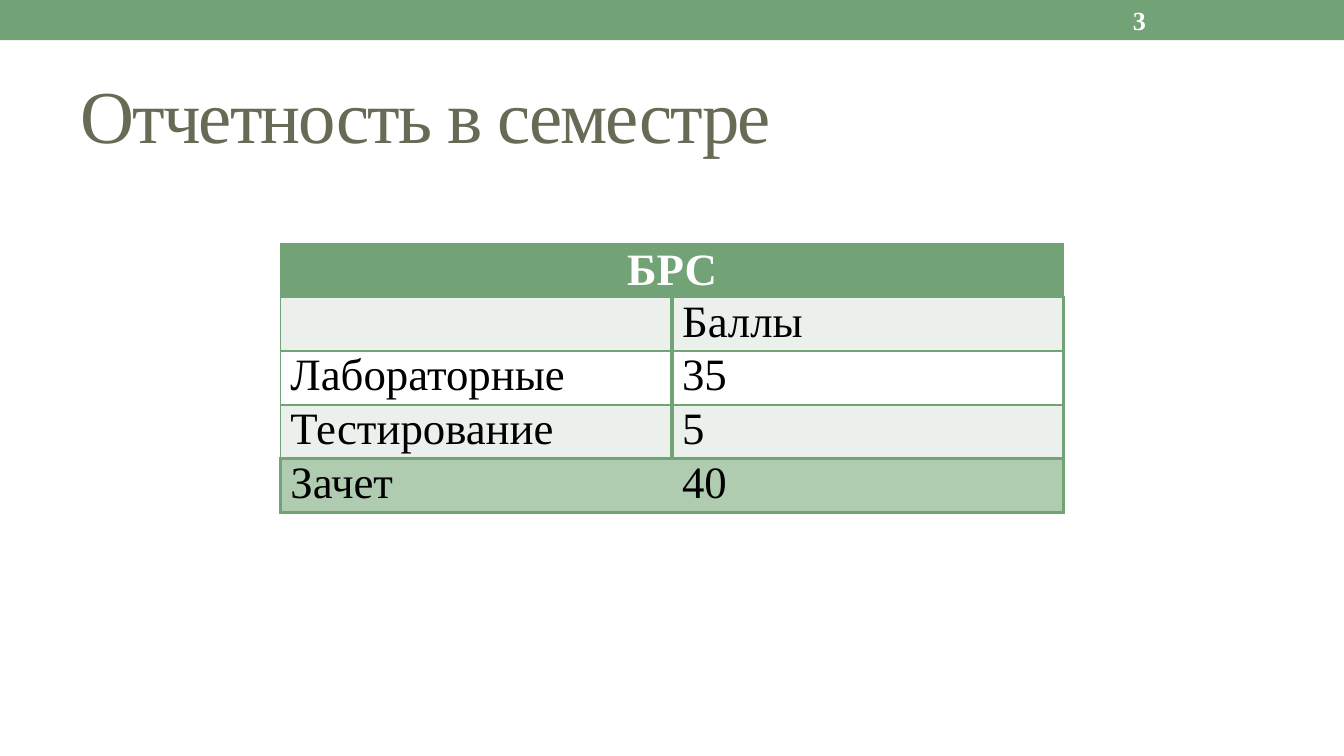
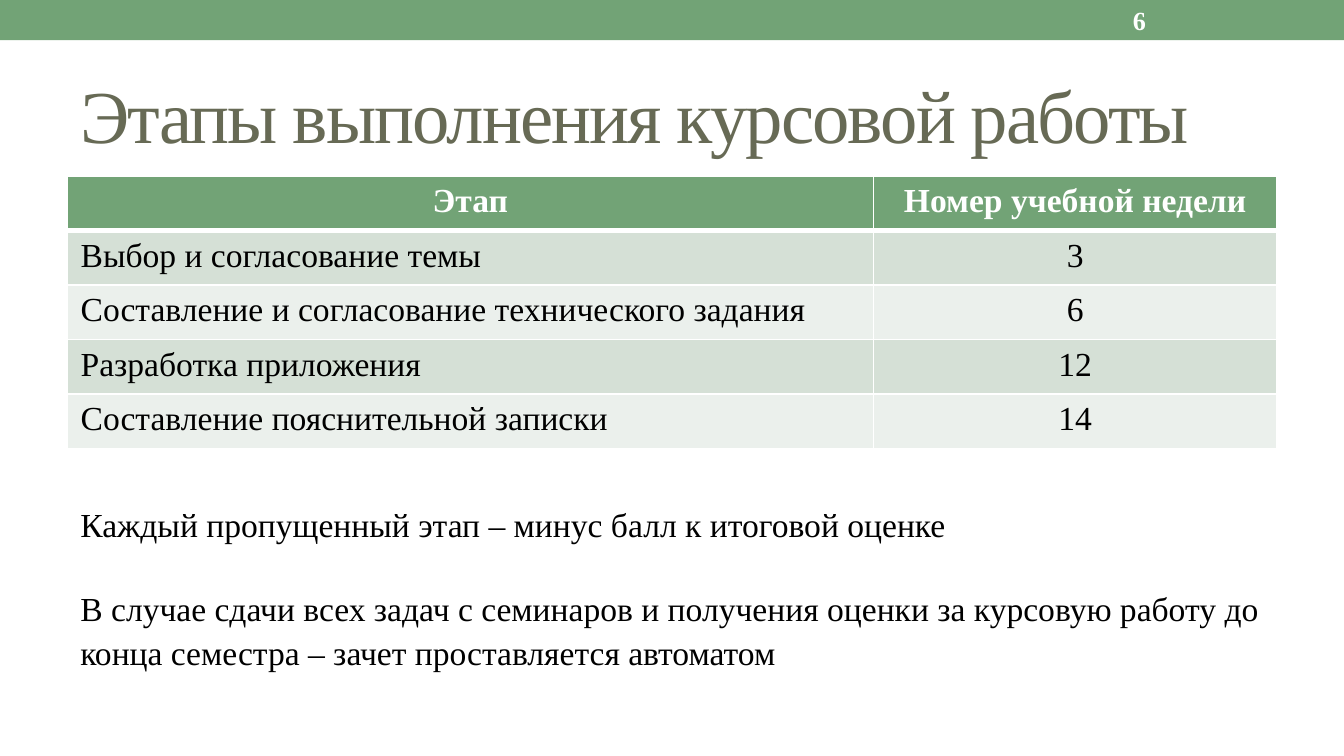
from lxml import etree
from pptx import Presentation
from pptx.dml.color import RGBColor
from pptx.enum.shapes import MSO_SHAPE
from pptx.enum.text import MSO_ANCHOR, PP_ALIGN
from pptx.oxml.ns import qn
from pptx.util import Cm, Pt

RECTANGLE = MSO_SHAPE.RECTANGLE
MIDDLE, TOP = MSO_ANCHOR.MIDDLE, MSO_ANCHOR.TOP
LEFT, CENTER, JUSTIFY = PP_ALIGN.LEFT, PP_ALIGN.CENTER, PP_ALIGN.JUSTIFY

FONT = "Times New Roman"
GREEN, OLIVE, WHITE, BLACK = "72A376", "676A55", "FFFFFF", "000000"
PALE, LIGHT, TOTAL = "EBF0EC", "D5E0D6", "B0CCB0"
THIN, THICK, HEADER_RULE = 1, 2.25, 3
MARGIN, CONTENT_WIDTH = 1.27, 22.86

rgb = RGBColor.from_string


def write(frame, lines, size, color, bold=False, align=LEFT, anchor=TOP):
    frame.word_wrap = True
    frame.vertical_anchor = anchor
    frame.text = "\n".join(lines)
    for para in frame.paragraphs:
        para.alignment = align
        for span in para.runs:
            span.font.name, span.font.size = FONT, Pt(size)
            span.font.bold = bold
            span.font.color.rgb = rgb(color)


def paint_cell(cell, fill, line_color, widths):
    """Widths run left, right, top, bottom in points; 0 hides the line."""
    properties = cell._tc.get_or_add_tcPr()
    for side, width in zip("LRTB", widths):
        line = etree.SubElement(properties, qn(f"a:ln{side}"), w=str(Pt(width)))
        if width:
            solid = etree.SubElement(line, qn("a:solidFill"))
            etree.SubElement(solid, qn("a:srgbClr"), val=line_color)
        else:
            etree.SubElement(line, qn("a:noFill"))
    cell.fill.solid()
    cell.fill.fore_color.rgb = rgb(fill)


deck = Presentation()
deck.slide_width, deck.slide_height = Cm(25.4), Cm(14.29)

# Band, title and page number shared by both slides
pages = []
for title, number in [("Отчетность в семестре", "3"),
                      ("Этапы выполнения курсовой работы", "6")]:
    page = deck.slides.add_slide(deck.slide_layouts[6])
    pages.append(page)
    band = page.shapes.add_shape(RECTANGLE, 0, 0, deck.slide_width, Cm(0.76))
    band.shadow.inherit = False
    band.fill.solid()
    band.fill.fore_color.rgb = rgb(GREEN)
    band.line.fill.background()

    box = page.shapes.add_textbox(Cm(MARGIN), Cm(1.12), Cm(CONTENT_WIDTH), Cm(2.06))
    write(box.text_frame, [title], 40, OLIVE, anchor=MIDDLE)
    box.text_frame.paragraphs[0].runs[0].font._element.set("spc", "-100")

    box = page.shapes.add_textbox(Cm(21.16), Cm(0.03), Cm(2.97), Cm(0.69))
    write(box.text_frame, [number], 14, WHITE, bold=True, anchor=MIDDLE)

score_page, stage_page = pages

# Score table
scores = [("БРС", ""), ("", "Баллы"), ("Лабораторные", "35"),
          ("Тестирование", "5"), ("Зачет", "40")]
score_fills = [GREEN, PALE, WHITE, PALE, TOTAL]
last = len(scores) - 1
table = score_page.shapes.add_table(
    len(scores), 2, Cm(5.3), Cm(4.6), Cm(14.8), Cm(4.7)).table
table.first_row = table.horz_banding = False
table.cell(0, 0).merge(table.cell(0, 1))
for row, texts in enumerate(scores):
    table.rows[row].height = Cm(0.94)
    header = row == 0
    for column, text in enumerate(texts):
        cell = table.cell(row, column)
        cell.margin_left = cell.margin_right = Cm(0.19)
        cell.margin_top = cell.margin_bottom = 0
        if not cell.is_spanned:
            write(cell.text_frame, [text], 24, WHITE if header else BLACK, header,
                  CENTER if header else JUSTIFY)
            cell.text_frame.paragraphs[0].space_after = Pt(8)
            cell.vertical_anchor = MIDDLE if header else TOP
        if header:
            widths = [THIN] * 4
        elif row == last:
            widths = [0, THICK, THICK, THICK] if column else [THICK, 0, THICK, THICK]
        else:
            widths = [THICK if column else THIN, THICK, THIN,
                      THICK if row == last - 1 else THIN]
        paint_cell(cell, score_fills[row], GREEN, widths)

# Stage table
stages = [("Этап", "Номер учебной недели"),
          ("Выбор и согласование темы", "3"),
          ("Составление и согласование технического задания", "6"),
          ("Разработка приложения", "12"),
          ("Составление пояснительной записки", "14")]
table = stage_page.shapes.add_table(
    len(stages), 2, Cm(MARGIN), Cm(3.33), Cm(CONTENT_WIDTH), Cm(5.15)).table
table.first_row = table.horz_banding = False
table.columns[0].width, table.columns[1].width = Cm(15.24), Cm(7.62)
for row, texts in enumerate(stages):
    table.rows[row].height = Cm(1.03)
    header = row == 0
    fill = GREEN if header else (LIGHT if row % 2 else PALE)
    for column, text in enumerate(texts):
        cell = table.cell(row, column)
        write(cell.text_frame, [text], 18, WHITE if header else BLACK, header,
              CENTER if header or column else LEFT)
        top = HEADER_RULE if row == 1 else THIN
        bottom = HEADER_RULE if header else THIN
        paint_cell(cell, fill, WHITE, [THIN, THIN, top, bottom])

# Grading notes
notes = ["Каждый пропущенный этап – минус балл к итоговой оценке",
         "В случае сдачи всех задач с семинаров и получения оценки за курсовую "
         "работу до конца семестра – зачет проставляется автоматом"]
box = stage_page.shapes.add_textbox(Cm(MARGIN), Cm(9.35), Cm(CONTENT_WIDTH), Cm(3.33))
write(box.text_frame, notes, 18, BLACK)
for para in box.text_frame.paragraphs:
    para.line_spacing = 1.08
box.text_frame.paragraphs[1].space_before = Pt(21.5)

deck.save("out.pptx")
